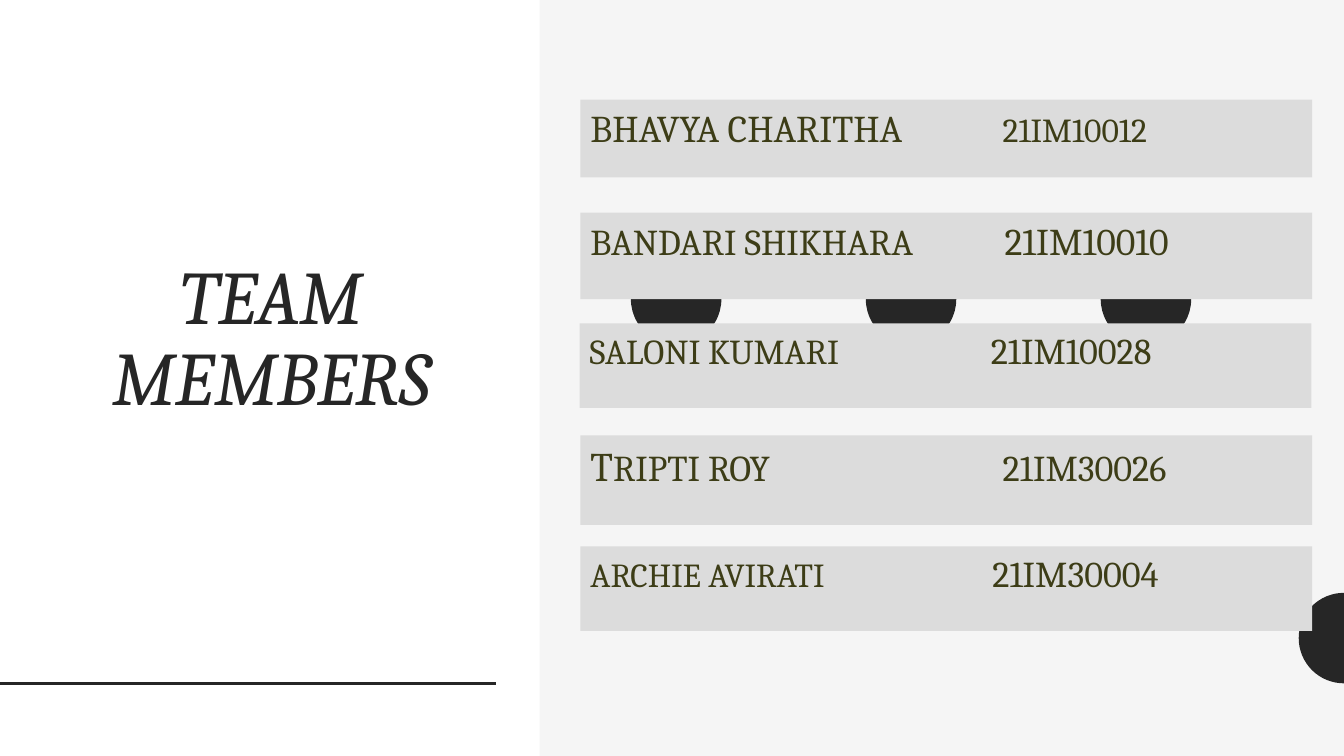
import math

import pptx
import pptx.dml.color
import pptx.enum.shapes
import pptx.enum.text
import pptx.oxml
import pptx.oxml.ns
import pptx.util

Cm = pptx.util.Cm
SHAPE = pptx.enum.shapes.MSO_SHAPE

COLOURS = {"page": "F5F5F5", "panel": "FFFFFF", "dark": "262626",
           "bar": "DCDCDC", "text": "3D3D17"}

# Top, left and height of each bar, tab position (cm), then text spans with sizes
MEMBERS = [
    (2.51, 14.63, 1.96, 10.39, [("BHAVYA CHARITHA", 27), ("\t21IM10012", 24)]),
    (5.36, 14.63, 2.18, 10.44, [("BANDARI SHIKHARA", 26), ("\t21IM10010", 27)]),
    (8.15, 14.61, 2.13, 10.11, [("SALONI KUMARI", 25), ("\t21IM10028", 26)]),
    (10.97, 14.63, 2.26, 10.39, [("T", 29), ("RIPTI ROY\t21IM30026", 26)]),
    (13.77, 14.63, 2.13, 10.13, [("ARCHIE AVIRATI", 24), ("\t21IM30004", 26)]),
]
BAR_WIDTH = 18.44
DISC = 2.28


def colour(name):
    return pptx.dml.color.RGBColor.from_string(COLOURS[name])


def apply(target, values):
    for name, value in values.items():
        setattr(target, name, value)


class SlideBuilder:
    """Holds the slide and its style."""

    font = "Cambria"
    insets = {"margin_left": Cm(0.25), "margin_right": Cm(0.25),
              "margin_top": Cm(0.13), "margin_bottom": Cm(0.13),
              "word_wrap": True,
              "auto_size": pptx.enum.text.MSO_AUTO_SIZE.NONE}

    def __init__(self, deck):
        self.page = deck.slides.add_slide(deck.slide_layouts[5])
        self.page.background.fill.solid()
        self.page.background.fill.fore_color.rgb = colour("page")

    def paint(self, shape, fill):
        shape.shadow.inherit = False
        shape.fill.solid()
        shape.fill.fore_color.rgb = colour(fill)
        shape.line.fill.background()
        return shape

    def shape(self, kind, left, top, width, height, fill):
        box = self.page.shapes.add_shape(kind, Cm(left), Cm(top), Cm(width), Cm(height))
        return self.paint(box, fill)

    def half_disc(self, right, middle, radius, fill):
        angles = [math.pi * (0.5 + step / 32) for step in range(33)]
        points = [(Cm(right + radius * math.cos(angle)),
                   Cm(middle + radius * math.sin(angle))) for angle in angles]
        outline = self.page.shapes.build_freeform(*points[0])
        outline.add_line_segments(points[1:], close=True)
        return self.paint(outline.convert_to_shape(), fill)

    def line(self, left, top, right, bottom, tint, width):
        rule = self.page.shapes.add_connector(
            pptx.enum.shapes.MSO_CONNECTOR.STRAIGHT,
            Cm(left), Cm(top), Cm(right), Cm(bottom))
        rule.line.color.rgb = colour(tint)
        rule.line.width = pptx.util.Pt(width)
        rule.element.spPr.append(pptx.oxml.parse_xml(
            "<a:effectLst %s/>" % pptx.oxml.ns.nsdecls("a")))

    def fill_text(self, box, spans, tint, frame=None, paragraph=None, font=None):
        apply(box.text_frame, {**self.insets, **(frame or {})})
        para = box.text_frame.paragraphs[0]
        apply(para, paragraph or {})
        for text, size in spans:
            span = para.add_run()
            span.text = text
            apply(span.font, {"name": self.font, "size": pptx.util.Pt(size), **(font or {})})
            span.font.color.rgb = colour(tint)
        return para

    def title(self, text, left, top, width, height):
        box = self.page.shapes.title
        apply(box, {"left": Cm(left), "top": Cm(top),
                    "width": Cm(width), "height": Cm(height)})
        self.fill_text(box, [(text, 54)], "dark",
                       {"vertical_anchor": pptx.enum.text.MSO_ANCHOR.BOTTOM},
                       {"alignment": pptx.enum.text.PP_ALIGN.CENTER, "line_spacing": 0.9},
                       {"italic": True})
        # Lift the title above the white panel
        box.element.getparent().append(box.element)

    def member(self, top, left, height, tab, spans):
        bar = self.shape(SHAPE.RECTANGLE, left, top, BAR_WIDTH, height, "bar")
        para = self.fill_text(bar, spans, "text",
                              {"vertical_anchor": pptx.enum.text.MSO_ANCHOR.TOP},
                              {"alignment": pptx.enum.text.PP_ALIGN.LEFT})
        # The tab stop aligns the roll number
        para._p.get_or_add_pPr().append(pptx.oxml.parse_xml(
            '<a:tabLst %s><a:tab pos="%d" algn="l"/></a:tabLst>'
            % (pptx.oxml.ns.nsdecls("a"), Cm(tab))))


def main():
    deck = pptx.Presentation()
    apply(deck, {"slide_width": Cm(33.87), "slide_height": Cm(19.05)})
    slide = SlideBuilder(deck)

    # Backdrop: edge disc, white panel and rule
    slide.half_disc(33.87, 16.08, DISC / 2, "dark")
    slide.shape(SHAPE.RECTANGLE, 0, 0, 13.6, 19.05, "panel")
    slide.line(0, 17.22, 12.5, 17.22, "dark", 2)

    # Title
    slide.title("TEAM MEMBERS", 1.22, 6.48, 11.25, 4.29)

    # Discs showing between the second and third bars
    for column in range(3):
        slide.shape(SHAPE.OVAL, 15.9 + column * 5.92, 6.4, DISC, DISC, "dark")

    # Member bars
    for member in MEMBERS:
        slide.member(*member)

    deck.save("out.pptx")


if __name__ == "__main__":
    main()
